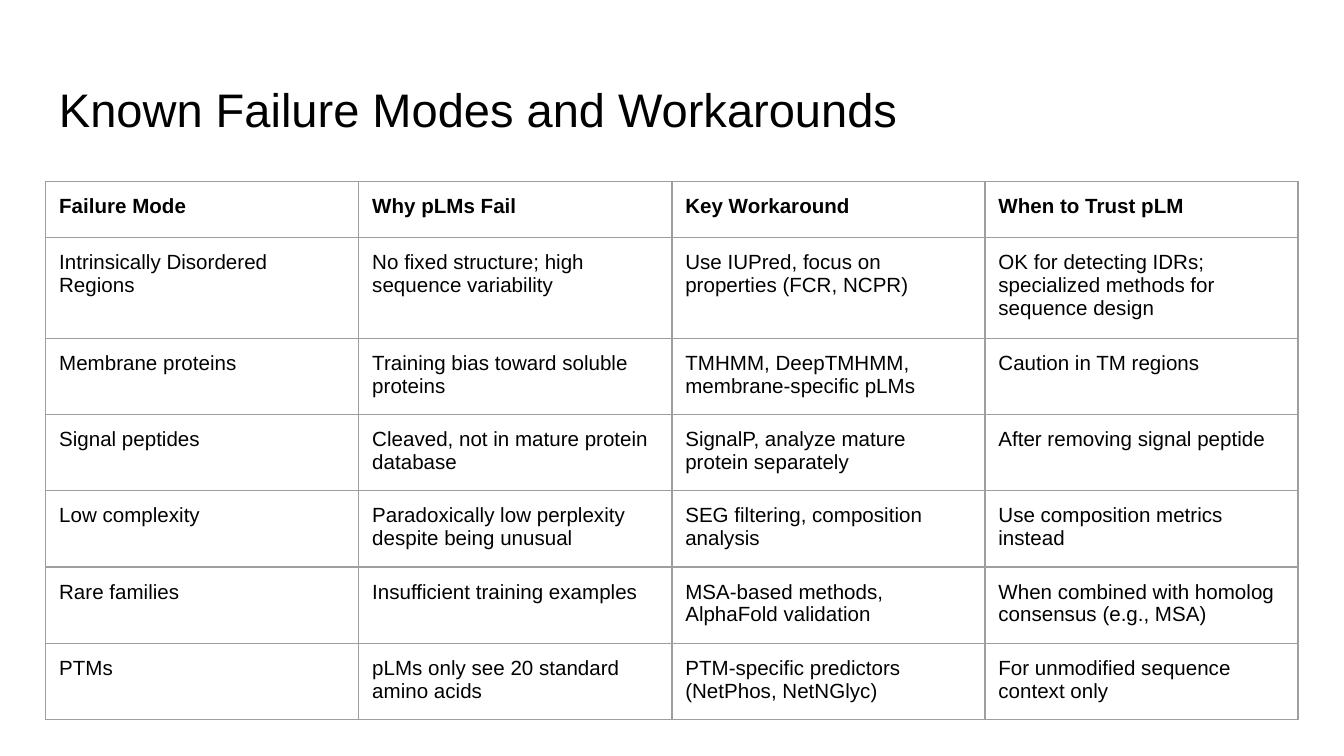
from lxml.etree import SubElement
from pptx import Presentation
from pptx.dml.color import RGBColor
from pptx.enum.text import MSO_ANCHOR
from pptx.oxml.ns import qn
from pptx.util import Pt

BLACK = "000000"
GRAY = "9E9E9E"
MARGIN = 24.5
WIDTH = 671
INSETS = {f"margin_{side}": Pt(7.2) for side in ("left", "top", "right", "bottom")}
TITLE_FONT = {"name": "Arial", "size": Pt(25.2), "bold": False}
HEADER_FONT = {"name": "Arial", "size": Pt(11), "bold": True}
BODY_FONT = {**HEADER_FONT, "bold": False}

ROWS = [
    ("Failure Mode", "Why pLMs Fail", "Key Workaround", "When to Trust pLM"),
    ("Intrinsically Disordered Regions", "No fixed structure; high sequence variability",
     "Use IUPred, focus on properties (FCR, NCPR)",
     "OK for detecting IDRs; specialized methods for sequence design"),
    ("Membrane proteins", "Training bias toward soluble proteins",
     "TMHMM, DeepTMHMM, membrane-specific pLMs", "Caution in TM regions"),
    ("Signal peptides", "Cleaved, not in mature protein database",
     "SignalP, analyze mature protein separately", "After removing signal peptide"),
    ("Low complexity", "Paradoxically low perplexity despite being unusual",
     "SEG filtering, composition analysis", "Use composition metrics instead"),
    ("Rare families", "Insufficient training examples",
     "MSA-based methods, AlphaFold validation",
     "When combined with homolog consensus (e.g., MSA)"),
    ("PTMs", "pLMs only see 20 standard amino acids",
     "PTM-specific predictors (NetPhos, NetNGlyc)", "For unmodified sequence context only"),
]


def write_text(frame, text, font_values):
    paragraph = frame.paragraphs[0]
    run = paragraph.add_run()
    run.text = text
    for name, value in font_values.items():
        setattr(run.font, name, value)
    run.font.color.rgb = RGBColor.from_string(BLACK)


def add_borders(cell, color):
    properties = cell._tc.get_or_add_tcPr()
    for position, side in enumerate(("lnL", "lnR", "lnT", "lnB")):
        line = properties.makeelement(qn(f"a:{side}"), {"w": str(Pt(0.75))})
        properties.insert(position, line)
        fill = SubElement(line, qn("a:solidFill"))
        SubElement(fill, qn("a:srgbClr"), val=color)


presentation = Presentation()
presentation.slide_width = Pt(720)
presentation.slide_height = Pt(405)
slide = presentation.slides.add_slide(presentation.slide_layouts[6])

title = slide.shapes.add_textbox(Pt(MARGIN), Pt(35.3), Pt(WIDTH), Pt(45.4))
title_format = {**INSETS, "word_wrap": True, "vertical_anchor": MSO_ANCHOR.MIDDLE}
for name, value in title_format.items():
    setattr(title.text_frame, name, value)
write_text(title.text_frame, "Known Failure Modes and Workarounds", TITLE_FONT)

row_count, column_count = len(ROWS), len(ROWS[0])
table = slide.shapes.add_table(
    row_count, column_count, Pt(MARGIN), Pt(97.2), Pt(WIDTH), Pt(30 * row_count)
).table
table.first_row = False
table.horz_banding = False

for row_index, texts in enumerate(ROWS):
    font_values = HEADER_FONT if row_index == 0 else BODY_FONT
    for column_index, text in enumerate(texts):
        cell = table.cell(row_index, column_index)
        for name, value in INSETS.items():
            setattr(cell, name, value)
        cell.fill.background()
        add_borders(cell, GRAY)
        write_text(cell.text_frame, text, font_values)

presentation.save("out.pptx")
